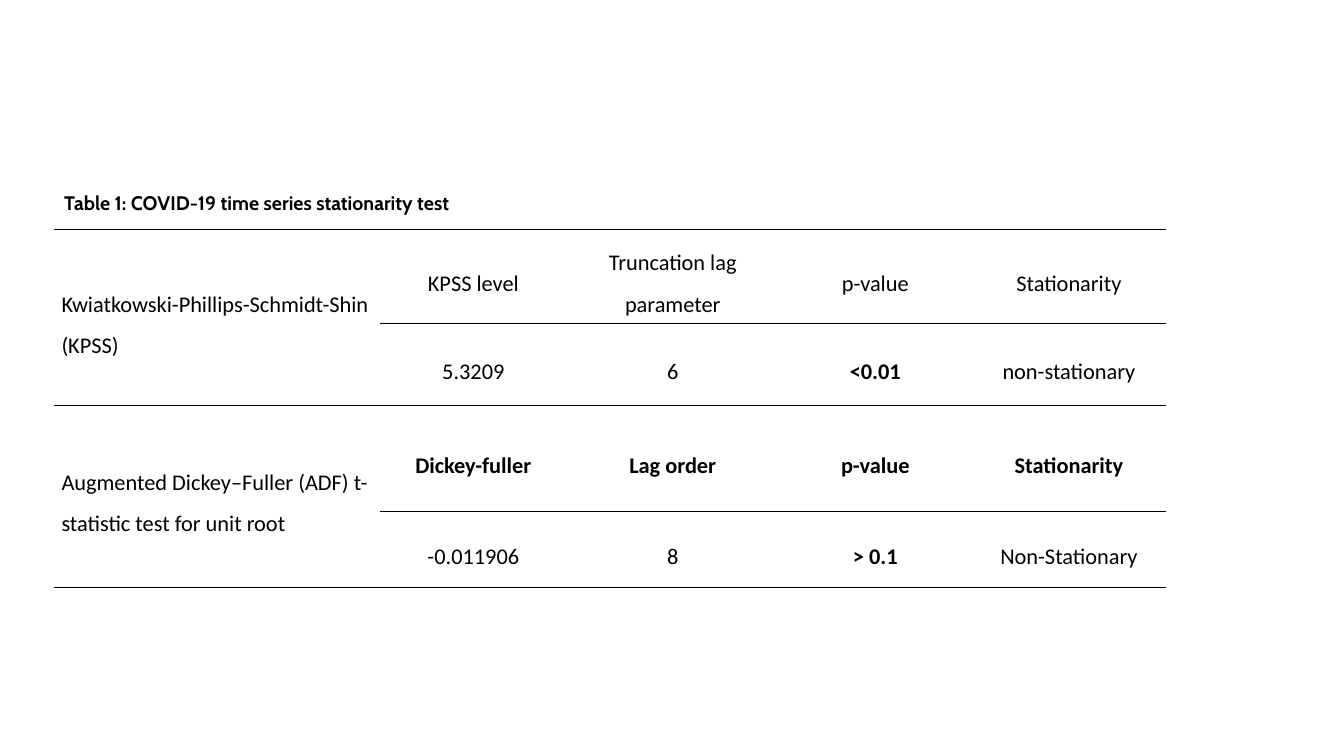
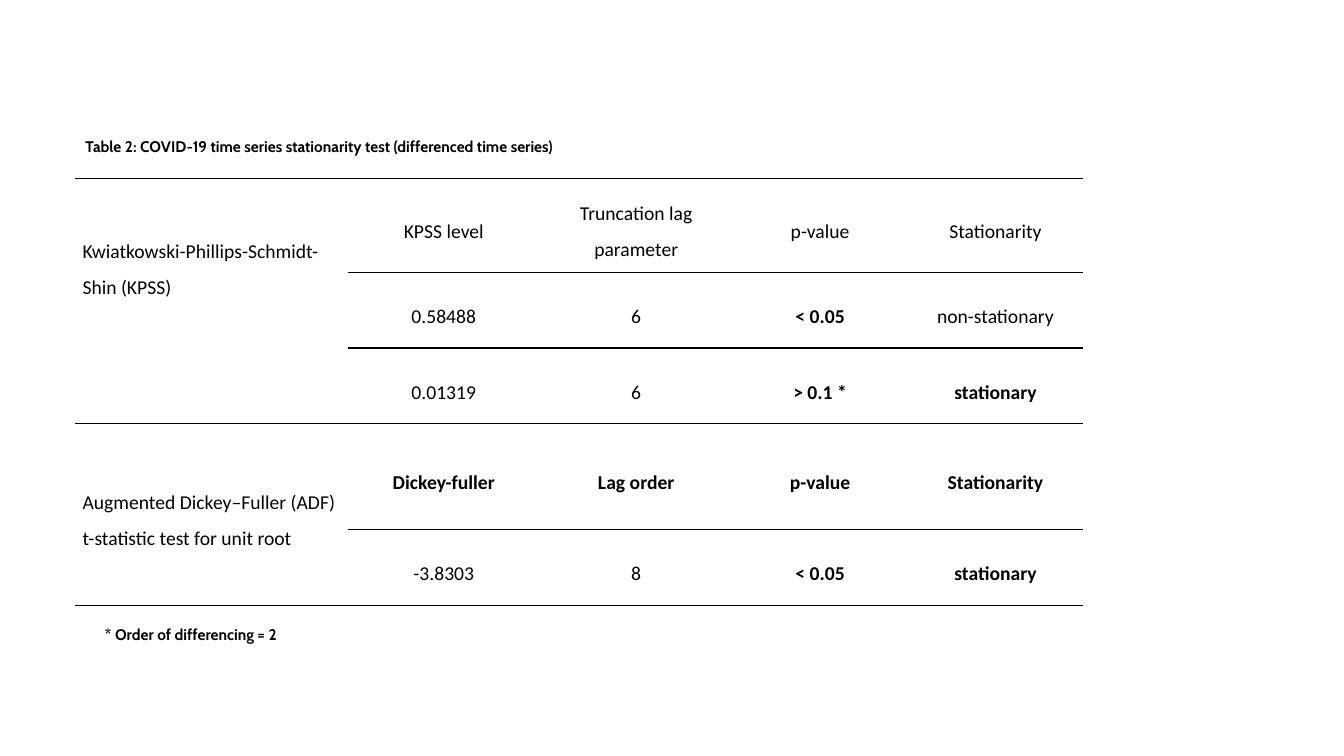
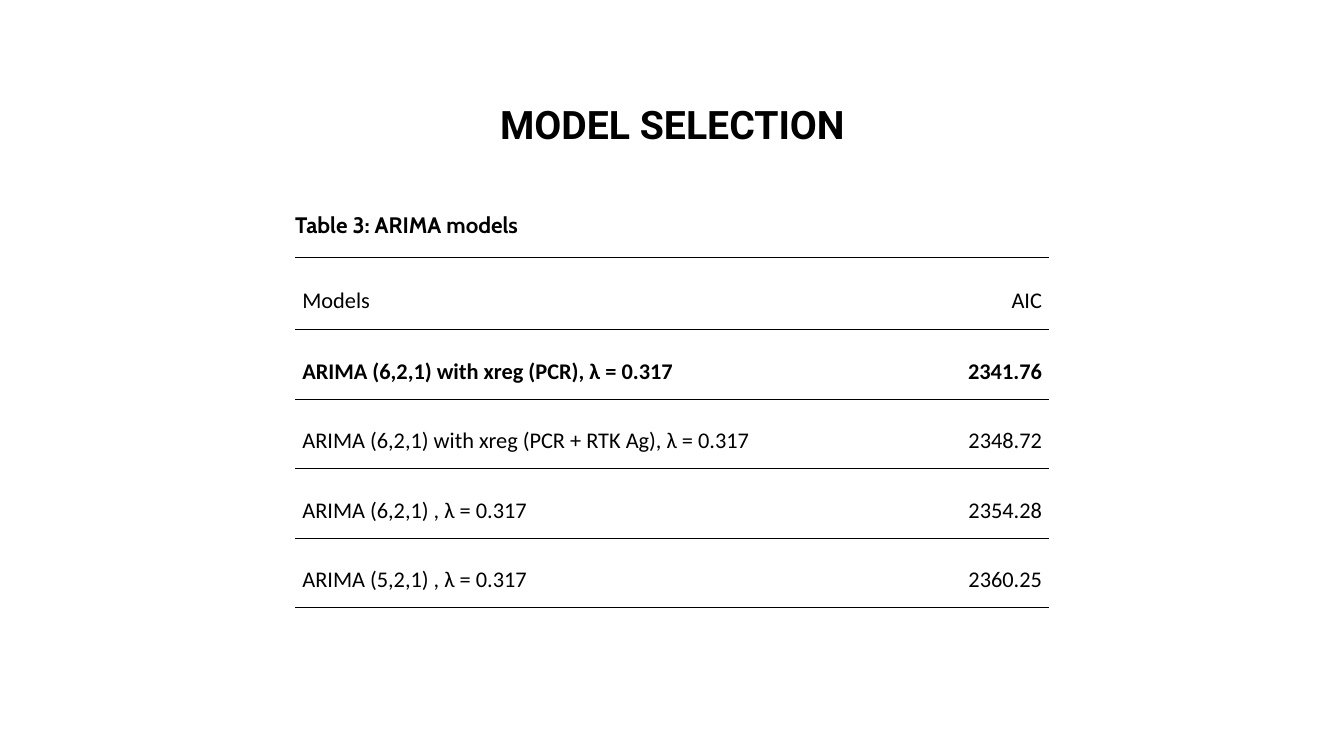
from dataclasses import dataclass

from lxml import etree
from pptx import Presentation
from pptx.dml.color import RGBColor
from pptx.enum.text import MSO_ANCHOR, MSO_AUTO_SIZE, PP_ALIGN
from pptx.oxml.ns import qn
from pptx.util import Cm, Pt

LEFT, CENTER, RIGHT = PP_ALIGN.LEFT, PP_ALIGN.CENTER, PP_ALIGN.RIGHT
MIDDLE = MSO_ANCHOR.MIDDLE
GROW = MSO_AUTO_SIZE.SHAPE_TO_FIT_TEXT
NO_AUTO_SIZE = MSO_AUTO_SIZE.NONE
TITLE_ONLY, BLANK = 5, 6
NO_RULE = 99


@dataclass(frozen=True)
class Theme:
    ink: str = "000000"
    title_font: str = "Roboto"
    caption_font: str = "Cabin"
    body_font: str = "Calibri"
    title_size: int = 28
    large: int = 16
    medium: int = 14
    small: int = 11
    rule_width: int = 1
    line_spacing: float = 1.5
    space_after: int = 8
    plain_table: str = "{2D5ABB26-0587-4C30-8999-92F81FD0307C}"


@dataclass(frozen=True)
class Box:
    left: float
    top: float
    width: float
    height: float

    def lengths(self):
        return Cm(self.left), Cm(self.top), Cm(self.width), Cm(self.height)


@dataclass(frozen=True)
class TableData:
    columns: tuple
    heights: tuple
    rows: tuple
    rule_starts: tuple
    bold_cells: frozenset
    size: int
    alignment: PP_ALIGN
    merged_rows: tuple = ()


THEME = Theme()
KPSS = "Kwiatkowski-Phillips-Schmidt-Shin (KPSS)"
ADF = "Augmented Dickey–Fuller (ADF) t-statistic test for unit root"
KPSS_HEADER = (KPSS, "KPSS level", "Truncation lag parameter", "p-value", "Stationarity")
ADF_HEADER = (ADF, "Dickey-fuller", "Lag order", "p-value", "Stationarity")

ORIGINAL_SERIES = TableData(
    columns=(8.2, 4.72, 5.33, 4.88, 4.88),
    heights=(2.36, 2.07, 2.67, 1.91),
    rows=(
        KPSS_HEADER,
        ("", "5.3209", "6", "<0.01", "non-stationary"),
        ADF_HEADER,
        ("", "-0.011906", "8", "> 0.1", "Non-Stationary"),
    ),
    rule_starts=(1, 0, 1, 0),
    bold_cells=frozenset({(1, 3), (2, 1), (2, 2), (2, 3), (2, 4), (3, 3)}),
    size=THEME.large,
    alignment=CENTER,
    merged_rows=((0, 1), (2, 3)),
)

DIFFERENCED_SERIES = TableData(
    columns=(6.86, 4.85, 4.85, 4.42, 4.42),
    heights=(2.36, 1.91, 1.91, 2.67, 1.91),
    rows=(
        KPSS_HEADER,
        ("", "0.58488", "6", "< 0.05", "non-stationary"),
        ("", "0.01319", "6", "> 0.1 *", "stationary"),
        ADF_HEADER,
        ("", "-3.8303", "8", "< 0.05", "stationary"),
    ),
    rule_starts=(1, 1, 0, 1, 0),
    bold_cells=frozenset(
        {(1, 3), (2, 3), (2, 4), (3, 1), (3, 2), (3, 3), (3, 4), (4, 3), (4, 4)}
    ),
    size=THEME.medium,
    alignment=CENTER,
    merged_rows=((0, 1), (3, 4)),
)

ARIMA_MODELS = TableData(
    columns=(12.32, 6.68),
    heights=(1.83, 1.75, 1.75, 1.75, 1.75),
    rows=(
        ("Models", "AIC"),
        ("ARIMA (6,2,1) with xreg (PCR), λ = 0.317", "2341.76"),
        ("ARIMA (6,2,1) with xreg (PCR + RTK Ag), λ = 0.317", "2348.72"),
        ("ARIMA (6,2,1) , λ = 0.317", "2354.28"),
        ("ARIMA (5,2,1) , λ = 0.317", "2360.25"),
    ),
    rule_starts=(0, NO_RULE, 0, NO_RULE, 0),
    bold_cells=frozenset({(1, 0), (1, 1)}),
    size=THEME.large,
    alignment=RIGHT,
)


def add_run(paragraph, text, font_name, size, bold):
    run = paragraph.add_run()
    run.text = text
    run.font.name = font_name
    run.font.size = Pt(size)
    run.font.bold = bold
    run.font.color.rgb = RGBColor.from_string(THEME.ink)


def space_paragraph(paragraph, alignment):
    paragraph.alignment = alignment
    paragraph.line_spacing = THEME.line_spacing
    paragraph.space_after = Pt(THEME.space_after)


def add_caption(slide, box, text, size):
    shape = slide.shapes.add_textbox(*box.lengths())
    frame = shape.text_frame
    frame.word_wrap = True
    frame.auto_size = GROW
    paragraph = frame.paragraphs[0]
    space_paragraph(paragraph, LEFT)
    add_run(paragraph, text, THEME.caption_font, size, True)


def format_title(slide, box, text):
    title = slide.shapes.title
    title.left, title.top, title.width, title.height = box.lengths()
    frame = title.text_frame
    frame.word_wrap = True
    frame.auto_size = NO_AUTO_SIZE
    frame.vertical_anchor = MIDDLE
    frame.margin_left = frame.margin_right = Cm(0.25)
    frame.margin_top = frame.margin_bottom = Cm(0.25)
    paragraph = frame.paragraphs[0]
    paragraph.alignment = CENTER
    add_run(paragraph, text, THEME.title_font, THEME.title_size, True)


def add_rules(cell, edges):
    properties = cell._tc.get_or_add_tcPr()
    for position, edge in enumerate(edges):
        line = etree.Element(qn(f"a:{edge}"), w=str(Pt(THEME.rule_width)))
        fill = etree.SubElement(line, qn("a:solidFill"))
        etree.SubElement(fill, qn("a:srgbClr"), val=THEME.ink)
        properties.insert(position, line)


def format_cell(cell, text, size, bold, alignment):
    cell.fill.background()
    cell.vertical_anchor = MIDDLE
    cell.margin_left = cell.margin_right = Cm(0.18)
    cell.margin_top = Cm(0.02)
    cell.margin_bottom = 0
    if text:
        paragraph = cell.text_frame.paragraphs[0]
        space_paragraph(paragraph, alignment)
        add_run(paragraph, text, THEME.body_font, size, bold)


def add_ruled_table(slide, left, top, data):
    box = Box(left, top, sum(data.columns), sum(data.heights))
    frame = slide.shapes.add_table(len(data.rows), len(data.columns), *box.lengths())
    table = frame.table
    table.first_row = table.horz_banding = False
    table._tbl.tblPr.find(qn("a:tableStyleId")).text = THEME.plain_table
    for column, width in zip(table.columns, data.columns):
        column.width = Cm(width)
    for row, height in zip(table.rows, data.heights):
        row.height = Cm(height)
    for first, last in data.merged_rows:
        table.cell(first, 0).merge(table.cell(last, 0))
    for row_index, texts in enumerate(data.rows):
        for column_index, text in enumerate(texts):
            cell = table.cell(row_index, column_index)
            bold = (row_index, column_index) in data.bold_cells
            alignment = data.alignment if column_index else LEFT
            format_cell(cell, text, data.size, bold, alignment)
            last_row = row_index
            if cell.is_merge_origin:
                last_row += cell.span_height - 1
            edges = []
            if row_index == 0 or column_index >= data.rule_starts[row_index - 1]:
                edges.append("lnT")
            if column_index >= data.rule_starts[last_row]:
                edges.append("lnB")
            add_rules(cell, edges)


def build_original_series(slide):
    caption = "Table 1: COVID-19 time series stationarity test"
    add_caption(slide, Box(1.37, 4.39, 16.1, 1.04), caption, THEME.medium)
    add_ruled_table(slide, 1.37, 5.79, ORIGINAL_SERIES)


def build_differenced_series(slide):
    caption = "Table 2: COVID-19 time series stationarity test (differenced time series)"
    add_caption(slide, Box(1.9, 3.1, 16.87, 0.86), caption, THEME.small)
    add_ruled_table(slide, 1.9, 4.5, DIFFERENCED_SERIES)
    footnote = "* Order of differencing = 2"
    add_caption(slide, Box(2.39, 15.39, 11.28, 0.86), footnote, THEME.small)


def build_model_selection(slide):
    format_title(slide, Box(10.85, 2.51, 12.19, 1.24), "MODEL SELECTION")
    caption = "Table 3: ARIMA models"
    add_caption(slide, Box(7.19, 4.85, 7.32, 1.14), caption, THEME.large)
    add_ruled_table(slide, 7.44, 6.48, ARIMA_MODELS)


def main():
    presentation = Presentation()
    presentation.slide_width = Cm(33.87)
    presentation.slide_height = Cm(19.05)
    for layout, build in (
        (BLANK, build_original_series),
        (BLANK, build_differenced_series),
        (TITLE_ONLY, build_model_selection),
    ):
        build(presentation.slides.add_slide(presentation.slide_layouts[layout]))
    presentation.save("out.pptx")


if __name__ == "__main__":
    main()
